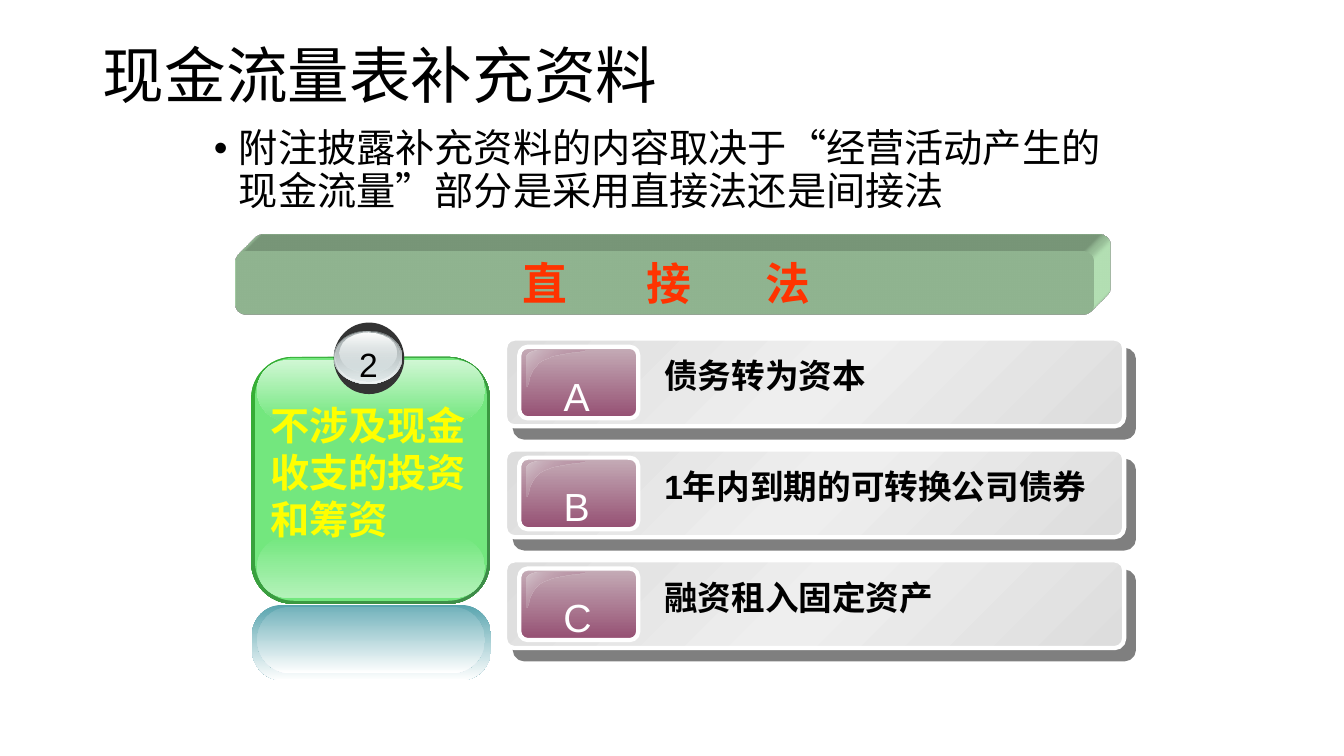
from lxml import etree
from pptx import Presentation
from pptx import util as u
from pptx.dml.color import RGBColor
from pptx.enum import shapes, text
from pptx.oxml import parse_xml
from pptx.oxml.ns import qn

BLACK = RGBColor(0x00, 0x00, 0x00)
WHITE = RGBColor(0xFF, 0xFF, 0xFF)
CHARCOAL = RGBColor(0x33, 0x33, 0x33)
PALE_GREEN = RGBColor(0xCC, 0xFF, 0xCC)
GREEN = RGBColor(0x73, 0xE7, 0x7E)
LIGHT_GREEN = RGBColor(0xB3, 0xF2, 0xB9)
MINT = RGBColor(0xD0, 0xF7, 0xD4)
EDGE_GREEN = RGBColor(0x34, 0xB0, 0x34)
DARK_GREEN = RGBColor(0x3F, 0x8B, 0x4A)
YELLOW = RGBColor(0xFF, 0xFF, 0x00)
RED = RGBColor(0xFF, 0x33, 0x00)
GREY = RGBColor(0xDD, 0xDD, 0xDD)
LIGHT_GREY = RGBColor(0xEE, 0xEE, 0xEE)
PLUM = RGBColor(0x95, 0x4F, 0x72)
LIGHT_PLUM = RGBColor(0xC5, 0xAD, 0xB7)
PALE_PLUM = RGBColor(0xD4, 0xC4, 0xCB)
SILVER = RGBColor(0xD6, 0xE1, 0xE2)
PALE_SILVER = RGBColor(0xF1, 0xF5, 0xF5)
MID_SILVER = RGBColor(0xAA, 0xB2, 0xB3)
STEEL = RGBColor(0x63, 0x68, 0x69)
TEAL = RGBColor(0x58, 0xA4, 0xAE)
LIGHT_TEAL = RGBColor(0x72, 0xB2, 0xBB)

CJK_FONT = "Noto Sans CJK SC"
ROUND = shapes.MSO_SHAPE.ROUNDED_RECTANGLE
OVAL = shapes.MSO_SHAPE.OVAL
DRAWING = 'xmlns:a="http://schemas.openxmlformats.org/drawingml/2006/main"'


class SlideBuilder:
    def __init__(self, slide):
        self.slide = slide
        self.canvas = slide.shapes

    def start_group(self):
        self.canvas = self.slide.shapes.add_group_shape().shapes

    def end_group(self):
        self.canvas = self.slide.shapes

    def style(self, paragraph, size, color, font="Arial", bold=False):
        paragraph.font.size = u.Pt(size)
        paragraph.font.name = font
        paragraph.font.bold = bold
        paragraph.font.color.rgb = color
        properties = paragraph._p.pPr.find(qn("a:defRPr"))
        etree.SubElement(properties, qn("a:ea")).set("typeface", CJK_FONT)

    def placeholder(self, index, box, words, size, bullet=False):
        shape = self.slide.placeholders[index]
        shape.left, shape.top, shape.width, shape.height = map(u.Inches, box)
        frame = shape.text_frame
        frame.text = words
        frame.word_wrap = True
        frame.auto_size = text.MSO_AUTO_SIZE.NONE
        frame.vertical_anchor = text.MSO_ANCHOR.TOP
        paragraph = frame.paragraphs[0]
        paragraph.alignment = text.PP_ALIGN.LEFT
        paragraph.line_spacing = 0.9
        paragraph.space_before = u.Pt(0)
        if bullet:
            properties = paragraph._p.get_or_add_pPr()
            properties.set("marL", str(u.Inches(0.25)))
            properties.set("indent", str(u.Inches(-0.25)))
            etree.SubElement(properties, qn("a:buFont")).set("typeface", "Arial")
            etree.SubElement(properties, qn("a:buChar")).set("char", "•")
        self.style(paragraph, size, BLACK, CJK_FONT)

    def paint(self, shape, fill, angle=90, outline=None):
        """Fill with one colour, or with (position, colour, opacity) stops."""
        shape.shadow.inherit = False
        if outline is None:
            shape.line.fill.background()
        else:
            shape.line.color.rgb = outline
            shape.line.width = u.Pt(3)
        if isinstance(fill, RGBColor):
            shape.fill.solid()
            shape.fill.fore_color.rgb = fill
            return shape
        stops = "".join(
            f'<a:gs pos="{position * 1000}"><a:srgbClr val="{color}">'
            f'<a:alpha val="{opacity * 1000}"/></a:srgbClr></a:gs>'
            for position, color, opacity in fill)
        shape.fill.background()
        properties = shape._element.spPr
        properties.replace(properties.find(qn("a:noFill")), parse_xml(
            f'<a:gradFill {DRAWING} rotWithShape="1"><a:gsLst>{stops}</a:gsLst>'
            f'<a:lin ang="{angle * 60000}" scaled="0"/></a:gradFill>'))
        return shape

    def shape(self, kind, box, fill, corner=None, angle=90, outline=None):
        shape = self.canvas.add_shape(kind, *map(u.Inches, box))
        if corner is not None:
            shape.adjustments[0] = corner
        return self.paint(shape, fill, angle, outline)

    def outline(self, points, fill, angle):
        builder = self.canvas.build_freeform(
            u.Inches(points[0][0]), u.Inches(points[0][1]), scale=1.0)
        builder.add_line_segments([(u.Inches(x), u.Inches(y)) for x, y in points[1:]])
        return self.paint(builder.convert_to_shape(), fill, angle)

    def label(self, box, words, size, color, font="Arial", bold=False, centred=False):
        frame = self.canvas.add_textbox(*map(u.Inches, box)).text_frame
        frame.text = words
        frame.word_wrap = not centred
        frame.auto_size = text.MSO_AUTO_SIZE.SHAPE_TO_FIT_TEXT
        paragraph = frame.paragraphs[0]
        paragraph.alignment = text.PP_ALIGN.CENTER if centred else text.PP_ALIGN.LEFT
        self.style(paragraph, size, color, font, bold)

    def drop_shadow(self, shape):
        effects = shape._element.spPr.find(qn("a:effectLst"))
        effects.append(parse_xml(
            f'<a:outerShdw {DRAWING} dist="{u.Pt(10.6)}" dir="{49 * 60000}" algn="ctr" '
            f'rotWithShape="0"><a:srgbClr val="{BLACK}"><a:alpha val="50000"/>'
            '</a:srgbClr></a:outerShdw>'))

    def extrude(self, shape, color):
        properties = shape._element.spPr
        properties.append(parse_xml(
            f'<a:scene3d {DRAWING}><a:camera prst="legacyObliqueTopRight"/>'
            '<a:lightRig rig="legacyFlat3" dir="b"/></a:scene3d>'))
        properties.append(parse_xml(
            f'<a:sp3d {DRAWING} extrusionH="430200" prstMaterial="legacyMatte">'
            '<a:bevelT w="13500" h="13500" prst="angle"/>'
            '<a:bevelB w="13500" h="13500" prst="angle"/>'
            f'<a:extrusionClr><a:srgbClr val="{color}"/></a:extrusionClr></a:sp3d>'))

    def banner(self, box, words, inset, tabs):
        shape = self.shape(ROUND, box, PALE_GREEN, 0.167)
        self.extrude(shape, PALE_GREEN)
        frame = shape.text_frame
        frame.text = words
        frame.margin_left = u.Inches(inset)
        frame.vertical_anchor = text.MSO_ANCHOR.MIDDLE
        paragraph = frame.paragraphs[0]
        paragraph.alignment = text.PP_ALIGN.LEFT
        stops = etree.SubElement(paragraph._p.get_or_add_pPr(), qn("a:tabLst"))
        for position in tabs:
            etree.SubElement(stops, qn("a:tab"), pos=str(u.Inches(position)), algn="l")
        self.style(paragraph, 32, RED, bold=True)


def blend(first, last, first_opacity=100, last_opacity=100):
    return [(0, first, first_opacity), (100, last, last_opacity)]


def curve(start, control_1, control_2, end, steps=10):
    weights = [((1 - t) ** 3, 3 * t * (1 - t) ** 2, 3 * t * t * (1 - t), t ** 3)
               for t in (step / steps for step in range(steps + 1))]
    axes = list(zip(start, control_1, control_2, end))
    return [tuple(sum(w * a for w, a in zip(weight, axis)) for axis in axes)
            for weight in weights]


def draw_row(page, top, letter, words):
    page.start_group()
    bar = page.shape(ROUND, (5.01, top, 6.14, 0.87),
                     [(0, GREY, 100), (50, LIGHT_GREY, 100), (100, GREY, 100)],
                     0.109, 45, WHITE)
    page.drop_shadow(bar)
    page.shape(ROUND, (5.15, top + 0.08, 1.18, 0.71), blend(LIGHT_PLUM, PLUM),
               0.119, outline=WHITE)
    # Glossy corner of the letter tile
    gloss = (curve((5.34, 0.12), (5.27, 0.12), (5.22, 0.15), (5.22, 0.19))
             + curve((5.22, 0.47), (5.25, 0.48), (5.23, 0.3), (5.38, 0.22))
             + curve((5.38, 0.22), (5.53, 0.14), (5.81, 0.14), (5.8, 0.12)))
    page.outline([(x, top + y) for x, y in gloss], blend(PALE_PLUM, PLUM, 100, 0), 45)
    page.label((5.49, top + 0.28, 0.46, 0.57), letter, 28, WHITE, centred=True)
    page.label((6.49, top + 0.11, 4.51, 0.5), words, 24, BLACK, bold=True)
    page.end_group()


def draw_panel(page):
    page.start_group()
    # Green card
    page.shape(ROUND, (2.49, 3.54, 2.37, 2.45), blend(EDGE_GREEN, DARK_GREEN), 0.175, 45)
    page.shape(ROUND, (2.53, 3.55, 2.3, 2.41), GREEN, 0.167)
    page.shape(ROUND, (2.55, 5.32, 2.26, 0.61), blend(GREEN, LIGHT_GREEN), 0.5)
    page.shape(ROUND, (2.55, 3.57, 2.26, 0.61), blend(MINT, GREEN), 0.5)
    # Number ball
    for box, fill in [
        ((3.31, 3.2, 0.7, 0.71), CHARCOAL),
        ((3.31, 3.28, 0.68, 0.53), blend(STEEL, SILVER)),
        ((3.32, 3.28, 0.66, 0.52), blend(SILVER, PALE_SILVER, 0)),
        ((3.33, 3.29, 0.63, 0.49), blend(MID_SILVER, SILVER, 100, 48)),
        ((3.37, 3.3, 0.56, 0.4), blend(WHITE, SILVER, 100, 38)),
    ]:
        page.shape(OVAL, box, fill)
    page.label((3.46, 3.36, 0.39, 0.5), "2", 24, BLACK, centred=True)
    page.label((2.58, 3.93, 2.25, 1.5), "不涉及现金收支的投资和筹资", 28, YELLOW,
               "DejaVu Sans", True)
    # Reflection
    page.shape(ROUND, (2.5, 6, 2.37, 0.75), blend(TEAL, WHITE), 0.404)
    page.shape(ROUND, (2.55, 6.02, 2.26, 0.66), blend(LIGHT_TEAL, WHITE), 0.5)
    page.end_group()


def main():
    presentation = Presentation()
    presentation.slide_width = u.Inches(13.33)
    presentation.slide_height = u.Inches(7.5)
    page = SlideBuilder(presentation.slides.add_slide(presentation.slide_layouts[1]))
    # Heading, introduction and banner
    page.placeholder(0, (0.92, 0.4, 11.5, 1.45), "现金流量表补充资料", 44)
    page.placeholder(1, (2.02, 1.23, 9, 1.18),
                     "附注披露补充资料的内容取决于“经营活动产生的现金流量”部分是采用直接法还是间接法",
                     28, bullet=True)
    page.banner((2.34, 2.49, 8.51, 0.63), "直\t接\t法", 2.81, (1.23, 2.41))
    # Numbered card and lettered rows
    draw_panel(page)
    rows = [("A", "债务转为资本"), ("B", "1年内到期的可转换公司债券"), ("C", "融资租入固定资产")]
    for index, (letter, words) in enumerate(rows):
        draw_row(page, 3.36 + 1.1 * index, letter, words)
    presentation.save("out.pptx")


if __name__ == "__main__":
    main()
